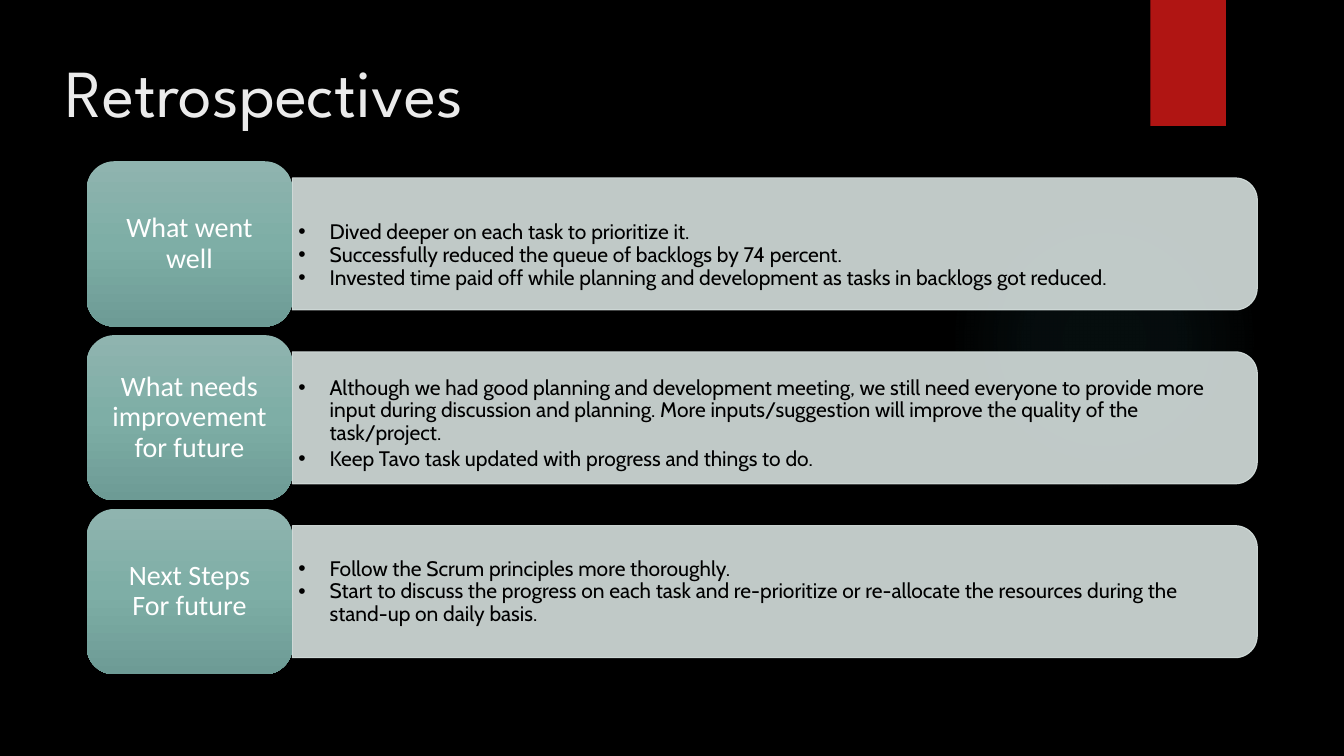
import pptx
import pptx.dml.color
import pptx.enum.shapes
import pptx.enum.text
import pptx.oxml
import pptx.oxml.ns
import pptx.util
from lxml import etree

RGBColor = pptx.dml.color.RGBColor
BLACK = RGBColor(0x00, 0x00, 0x00)
WHITE = RGBColor(0xFF, 0xFF, 0xFF)
TITLE_GREY = RGBColor(0xEB, 0xEB, 0xEB)
RIBBON_RED = RGBColor(0xB0, 0x15, 0x13)
PANEL_GREY = RGBColor(0xD8, 0xE2, 0xE0)
GLOW_TEAL = RGBColor(0x50, 0xB9, 0xC1)
LABEL_TOP = RGBColor(0x8F, 0xB4, 0xAF)
LABEL_MIDDLE = RGBColor(0x7E, 0xAE, 0xA6)
LABEL_BOTTOM = RGBColor(0x6D, 0x9B, 0x95)

ROW_TOP, ROW_PITCH, ROW_HEIGHT = 1.6, 1.725, 1.64
LABEL_LEFT, LABEL_WIDTH = 0.86, 2.04
PANEL_LEFT, PANEL_WIDTH, PANEL_HEIGHT = 2.9, 9.57, 1.31
LIST_TOP, LIST_PITCH, LIST_WIDTH, LIST_HEIGHT = 1.94, 1.67, 9.4, 1.19
LIST_HOLDERS = (1, 2, 4)

SECTIONS = [
    (["What went well"], 0, [
        "Dived deeper on each task to prioritize it.",
        "Successfully reduced the queue of backlogs by 74 percent.",
        "Invested time paid off while planning and development as tasks in backlogs got reduced.",
    ]),
    (["What needs improvement for future"], 2.2, [
        "Although we had good planning and development meeting, we still need everyone to provide "
        "more input during discussion and planning. More inputs/suggestion will improve the "
        "quality of the task/project.",
        "Keep Tavo task updated with progress and things to do.",
    ]),
    (["Next Steps", "For future"], 0, [
        "Follow the Scrum principles more thoroughly.",
        "Start to discuss the progress on each task and re-prioritize or re-allocate the "
        "resources during the stand-up on daily basis.",
    ]),
]


def place(item, left, top, width, height):
    """Set the position and size of an item in inches."""
    item.left, item.top, item.width, item.height = map(
        pptx.util.Inches, (left, top, width, height))


def add_outline(slide, kind, left, top, width, height):
    """Add a preset shape without shadow or line."""
    shape = slide.shapes.add_shape(kind, *map(pptx.util.Inches, (left, top, width, height)))
    shape.shadow.inherit = False
    shape.line.fill.background()
    return shape


def set_gradient(shape, stops, direction):
    """Fill a shape with (position, colour, opacity) stops and a direction element."""
    marks = "".join(
        f'<a:gs pos="{position * 1000}"><a:srgbClr val="{colour}">'
        f'<a:alpha val="{opacity * 1000}"/></a:srgbClr></a:gs>'
        for position, colour, opacity in stops)
    gradient = pptx.oxml.parse_xml(
        f'<a:gradFill {pptx.oxml.ns.nsdecls("a")} rotWithShape="1">'
        f'<a:gsLst>{marks}</a:gsLst>{direction}</a:gradFill>')
    shape.fill.background()
    properties = shape._element.spPr
    properties.replace(properties.find(pptx.oxml.ns.qn("a:noFill")), gradient)


def set_opacity(fill_owner, percent):
    """Make the solid colours below an element partly transparent."""
    for colour in fill_owner.iter(pptx.oxml.ns.qn("a:srgbClr")):
        etree.SubElement(colour, pptx.oxml.ns.qn("a:alpha"), val=str(percent * 1000))


def write(holder, lines, *, font, size, colour, align=pptx.enum.text.PP_ALIGN.LEFT,
          insets=(0.1, 0.05), spacing=0.9, before=0, bulleted=False):
    """Write lines of formatted text into a shape or placeholder."""
    frame = holder.text_frame
    frame.text = "\n".join(lines)
    frame.word_wrap = True
    frame.auto_size = pptx.enum.text.MSO_AUTO_SIZE.NONE
    frame.vertical_anchor = pptx.enum.text.MSO_ANCHOR.MIDDLE
    frame.margin_left = frame.margin_right = pptx.util.Inches(insets[0])
    frame.margin_top = frame.margin_bottom = pptx.util.Inches(insets[1])
    for paragraph in frame.paragraphs:
        paragraph.alignment = align
        paragraph.line_spacing = spacing
        paragraph.space_before = pptx.util.Pt(before)
        paragraph.space_after = pptx.util.Pt(0)
        if bulleted:
            add_bullet(paragraph, colour)
        for run in paragraph.runs:
            run.font.name = font
            run.font.size = pptx.util.Pt(size)
            run.font.bold = False
            run.font.color.rgb = colour


def add_bullet(paragraph, colour):
    """Give a paragraph a hanging round bullet."""
    paragraph.level = 1
    properties = paragraph._p.get_or_add_pPr()
    indent = pptx.util.Inches(0.31)
    properties.set("marL", str(indent))
    properties.set("indent", str(-indent))
    bullet_colour = etree.SubElement(properties, pptx.oxml.ns.qn("a:buClr"))
    etree.SubElement(bullet_colour, pptx.oxml.ns.qn("a:srgbClr"), val=str(colour))
    etree.SubElement(properties, pptx.oxml.ns.qn("a:buFont"), typeface="Arial")
    etree.SubElement(properties, pptx.oxml.ns.qn("a:buChar"), char="•")


def add_backdrop(slide):
    """Paint the black background, the faint glow and the red ribbon."""
    kinds = pptx.enum.shapes.MSO_SHAPE
    slide.background.fill.solid()
    slide.background.fill.fore_color.rgb = BLACK
    glow = add_outline(slide, kinds.OVAL, 9.41, 1.83, 3.08, 3.08)
    set_gradient(glow, [(0, GLOW_TEAL, 7), (36, GLOW_TEAL, 6), (69, GLOW_TEAL, 0)],
                 '<a:path path="circle"><a:fillToRect l="50000" t="50000" r="50000" b="50000"/>'
                 '</a:path>')
    ribbon = add_outline(slide, kinds.RECTANGLE, 11.41, 0, 0.75, 1.25)
    ribbon.fill.solid()
    ribbon.fill.fore_color.rgb = RIBBON_RED


def add_panel(slide, middle):
    """Add a translucent panel with rounded right corners, centred on a height."""
    centre = PANEL_LEFT + PANEL_WIDTH / 2
    panel = add_outline(slide, pptx.enum.shapes.MSO_SHAPE.ROUND_2_SAME_RECTANGLE,
                        centre - PANEL_HEIGHT / 2, middle - PANEL_WIDTH / 2,
                        PANEL_HEIGHT, PANEL_WIDTH)
    panel.rotation = 90
    panel.adjustments[0] = 0.167
    panel.fill.solid()
    panel.fill.fore_color.rgb = PANEL_GREY
    panel.line.color.rgb = PANEL_GREY
    panel.line.width = pptx.util.Pt(0.75)
    set_opacity(panel._element.spPr, 89)


def add_label(slide, top, lines):
    """Add a rounded green label with its heading."""
    label = add_outline(slide, pptx.enum.shapes.MSO_SHAPE.ROUNDED_RECTANGLE,
                        LABEL_LEFT, top, LABEL_WIDTH, ROW_HEIGHT)
    label.adjustments[0] = 0.167
    set_gradient(label, [(0, LABEL_TOP, 100), (50, LABEL_MIDDLE, 100), (100, LABEL_BOTTOM, 100)],
                 '<a:lin ang="5400000" scaled="0"/>')
    write(label, lines, font="Calibri", size=20, colour=WHITE,
          align=pptx.enum.text.PP_ALIGN.CENTER, insets=(0.16, 0.12))


def add_section(slide, row, heading, before, points):
    """Add one row: panel, list and label."""
    top = ROW_TOP + row * ROW_PITCH
    add_panel(slide, top + ROW_HEIGHT / 2)
    body = slide.placeholders[LIST_HOLDERS[row]]
    place(body, PANEL_LEFT, LIST_TOP + row * LIST_PITCH, LIST_WIDTH, LIST_HEIGHT)
    write(body, points, font="Cabin", size=15, colour=BLACK, insets=(0.06, 0.03),
          before=before, bulleted=True)
    slide.shapes._spTree.append(body._element)
    add_label(slide, top, heading)


def main():
    """Build the retrospectives slide and save it."""
    deck = pptx.Presentation()
    deck.slide_width, deck.slide_height = pptx.util.Inches(13.33), pptx.util.Inches(7.5)
    slide = deck.slides.add_slide(deck.slide_layouts.get_by_name("Comparison"))
    spare = slide.placeholders[3]._element
    spare.getparent().remove(spare)
    add_backdrop(slide)
    title = slide.shapes.title
    place(title, 0.55, 0.4, 12.14, 0.99)
    write(title, ["Retrospectives"], font="League Spartan", size=48, colour=TITLE_GREY, spacing=1.0)
    for row, section in enumerate(SECTIONS):
        add_section(slide, row, *section)
    deck.save("out.pptx")


if __name__ == "__main__":
    main()
